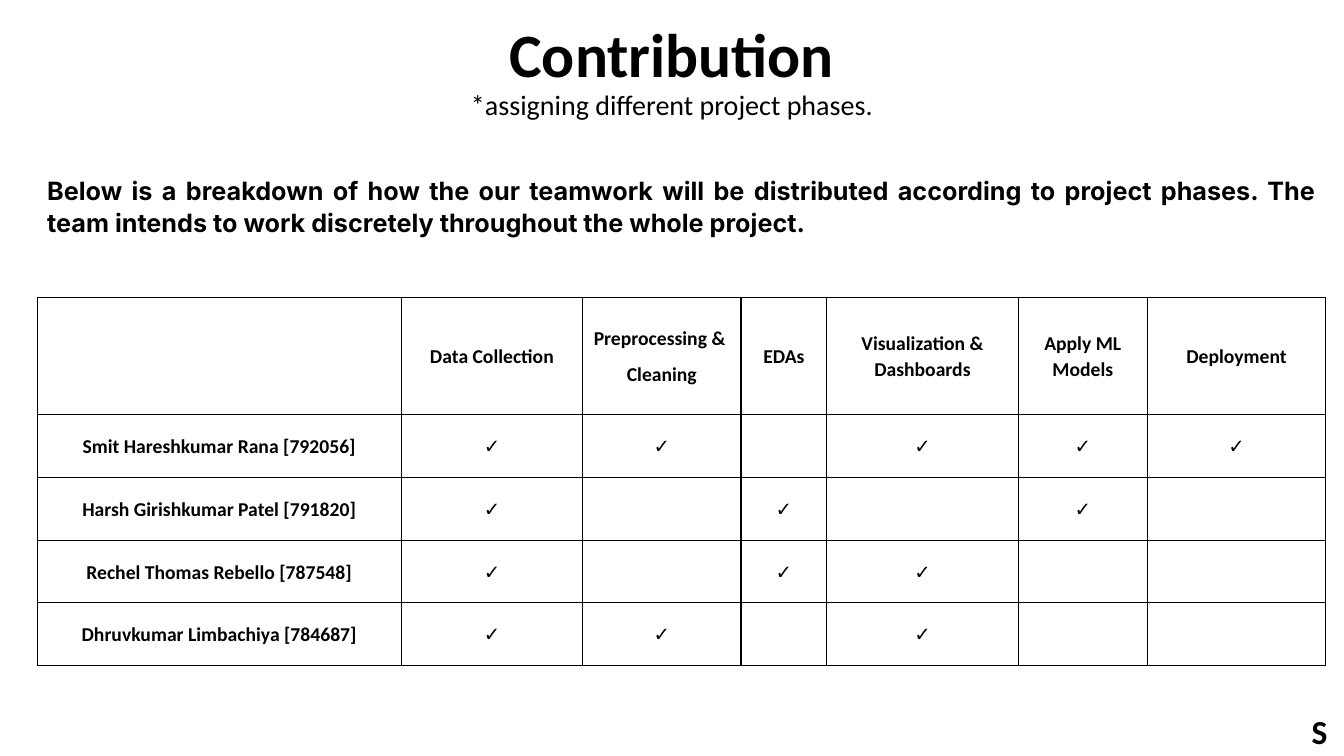
from lxml.etree import SubElement
from pptx import Presentation
from pptx.dml.color import RGBColor
from pptx.enum.text import MSO_ANCHOR as Anchor, MSO_AUTO_SIZE as AutoSize, PP_ALIGN as Align
from pptx.oxml.ns import qn
from pptx.util import Inches, Pt

BLACK = "000000"
HEADING = "Contribution"
SUBHEADING = "*assigning different project phases."
INTRO = ("Below is a breakdown of how the our teamwork will be distributed according to "
         "project phases. The team intends to work discretely throughout the whole project.")
CORNER_LETTER = "S"
CHECK = "✓"
PHASES = [
    ("Data Collection", 1.8),
    ("Preprocessing & \nCleaning", 1.57),
    ("EDAs", 0.85),
    ("Visualization & Dashboards", 1.9),
    ("Apply ML Models", 1.28),
    ("Deployment", 1.77),
]
MEMBERS = [
    ("Smit Hareshkumar Rana [792056]", (1, 1, 0, 1, 1, 1)),
    ("Harsh Girishkumar Patel [791820]", (1, 0, 1, 0, 1, 0)),
    ("Rechel Thomas Rebello [787548]", (1, 0, 1, 1, 0, 0)),
    ("Dhruvkumar Limbachiya [784687]", (1, 1, 0, 1, 0, 0)),
]
LEFT, WIDTH = 0.37, 12.78
MEMBER_WIDTH = 3.61
ROW_HEIGHTS = [1.16, 0.63, 0.62, 0.62, 0.62]


def color(value):
    return RGBColor.from_string(value)


def style(font, size, bold=True, face="Calibri"):
    font.name, font.size, font.bold = face, Pt(size), bold
    font.color.rgb = color(BLACK)


def space(paragraph, align):
    paragraph.alignment = align
    paragraph.line_spacing = 1.07
    paragraph.space_after = Pt(8)


def add_text(text, left, top, width, height):
    frame = slide.shapes.add_textbox(*map(Inches, (left, top, width, height))).text_frame
    frame.word_wrap = True
    frame.auto_size = AutoSize.SHAPE_TO_FIT_TEXT
    frame.text = text
    return frame.paragraphs[0]


def add_borders(cell):
    properties = cell._tc.get_or_add_tcPr()
    for position, side in enumerate(("lnL", "lnR", "lnT", "lnB")):
        line = SubElement(properties, qn(f"a:{side}"), w=str(Pt(1)))
        fill = SubElement(line, qn("a:solidFill"))
        SubElement(fill, qn("a:srgbClr"), val=BLACK)
        properties.insert(position, line)


def fill_cell(cell, text):
    cell.fill.background()
    add_borders(cell)
    cell.vertical_anchor = Anchor.MIDDLE
    cell.margin_left = cell.margin_right = Inches(0.07)
    cell.margin_top = cell.margin_bottom = 0
    cell.text = text
    for paragraph in cell.text_frame.paragraphs:
        space(paragraph, Align.CENTER)
        style(paragraph.font, 14)


presentation = Presentation()
presentation.slide_width, presentation.slide_height = Inches(13.33), Inches(7.5)
slide = presentation.slides.add_slide(presentation.slide_layouts[5])

title = slide.shapes.title
title.left, title.top, title.width, title.height = map(Inches, (0, 0, 13.33, 1.45))
title.text_frame.auto_size = AutoSize.NONE
title.text_frame.vertical_anchor = Anchor.MIDDLE
heading = title.text_frame.paragraphs[0]
heading.alignment = Align.CENTER
heading.line_spacing = 0.9
heading_run = heading.add_run()
heading_run.text = HEADING
style(heading_run.font, 44)
heading.add_line_break()
subheading_run = heading.add_run()
subheading_run.text = SUBHEADING
style(subheading_run.font, 20, bold=False)

rows = [["", *(phase for phase, _ in PHASES)]]
rows += [[member, *(CHECK if done else "" for done in duties)] for member, duties in MEMBERS]
widths = [MEMBER_WIDTH, *(width for _, width in PHASES)]
contributions = slide.shapes.add_table(
    len(rows), len(widths), *map(Inches, (LEFT, 2.95, WIDTH, sum(ROW_HEIGHTS)))).table
contributions.first_row = contributions.horz_banding = False
for column, width in zip(contributions.columns, widths):
    column.width = Inches(width)
for row, height, texts in zip(contributions.rows, ROW_HEIGHTS, rows):
    row.height = Inches(height)
    for cell, text in zip(row.cells, texts):
        fill_cell(cell, text)

intro = add_text(INTRO, LEFT, 1.67, WIDTH, 0.73)
space(intro, Align.JUSTIFY)
style(intro.font, 18, face="Inter")

corner_letter = add_text(CORNER_LETTER, 12.91, 7, 0.37, 0.5)
style(corner_letter.font, 24)

presentation.save("out.pptx")
